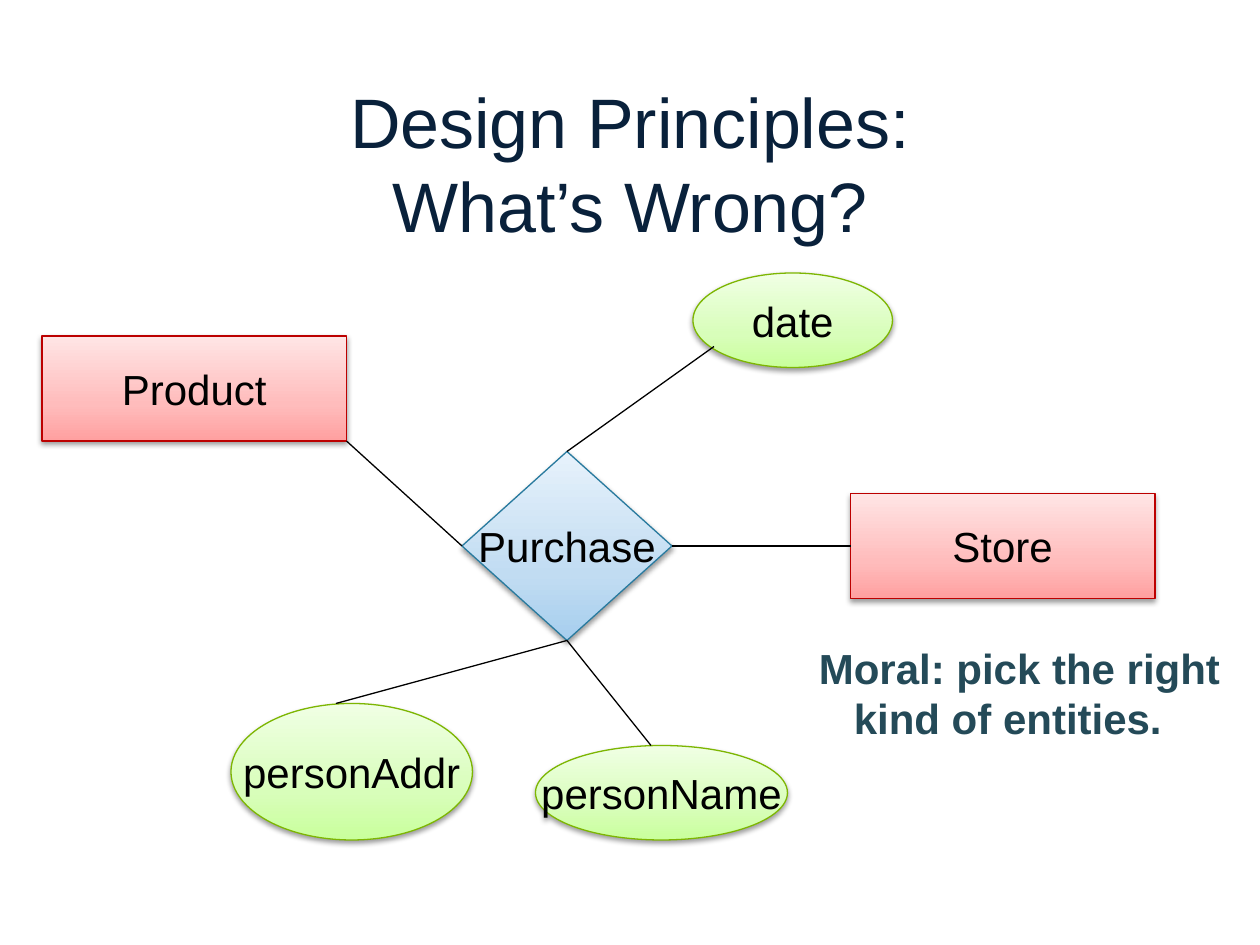
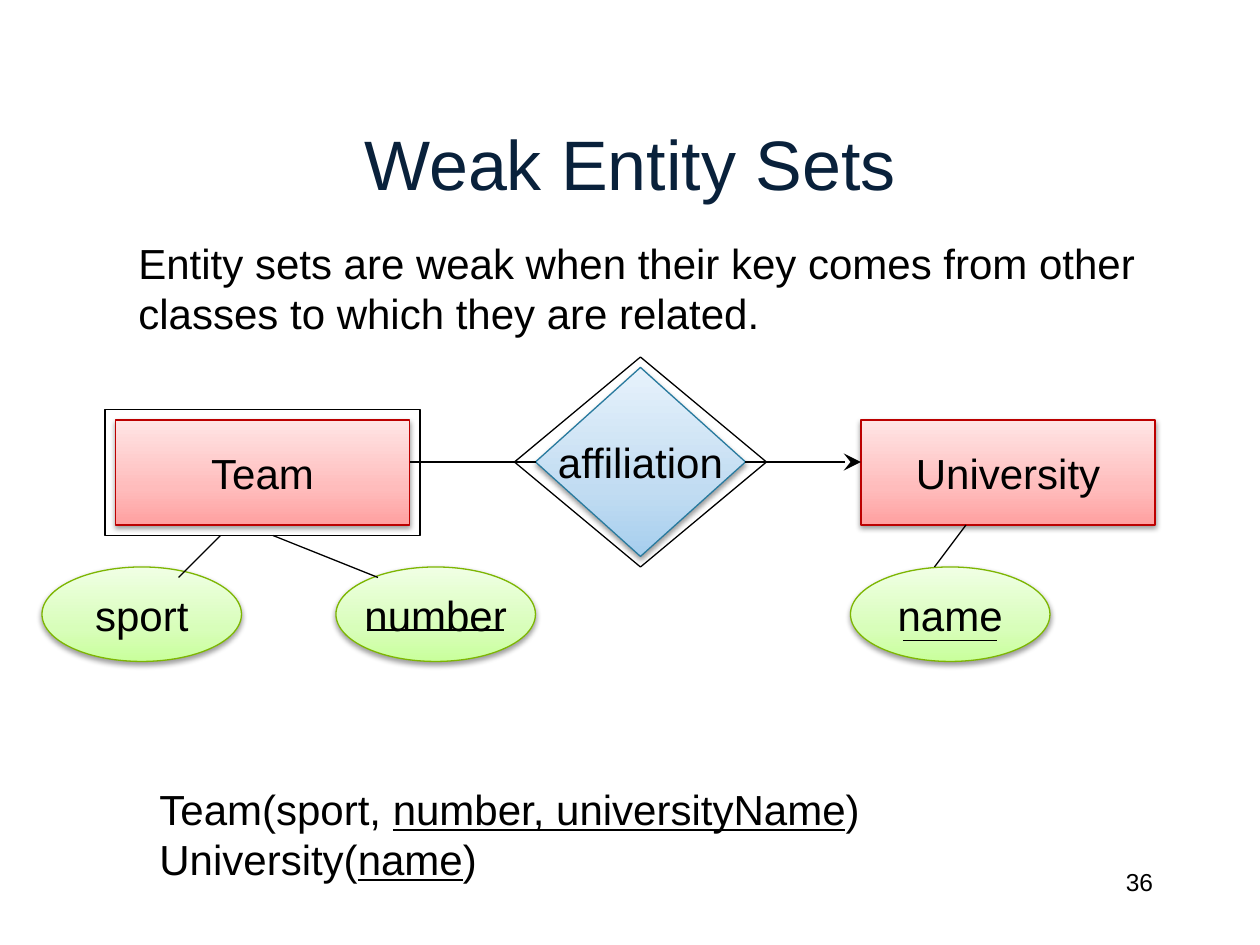
"""Build two slides on entity-relationship design: a flawed diagram and weak entity sets."""
from pptx import Presentation
from pptx.dml.color import RGBColor
from pptx.enum import shapes, text
from pptx.oxml import parse_xml
from pptx.oxml.ns import nsdecls, qn
from pptx.util import Pt

COLORS = {"title": "09213B", "text": "000000", "moral": "244A58"}
FONT = "Arial"
LEFT, CENTER, RIGHT = text.PP_ALIGN.LEFT, text.PP_ALIGN.CENTER, text.PP_ALIGN.RIGHT
TOP, MIDDLE = text.MSO_ANCHOR.TOP, text.MSO_ANCHOR.MIDDLE
KINDS = {
    "entity": (shapes.MSO_SHAPE.RECTANGLE, "BC0000", ("FFA0A0", "FFBCBC", "FFE5E5")),
    "relation": (shapes.MSO_SHAPE.DIAMOND, "287A9E", ("A6CEEE", "C1DCF2", "E7F2FB")),
    "attribute": (shapes.MSO_SHAPE.OVAL, "7DB602", ("C9FF9C", "D8FEBA", "F0FFE4")),
}
STOPS = (0, 35, 100)
SHADOW = (
    f'<a:outerShdw {nsdecls("a")} blurRad="{Pt(3.1)}" dist="{Pt(1.6)}" dir="5400000" '
    'rotWithShape="0"><a:srgbClr val="000000"><a:alpha val="38000"/></a:srgbClr></a:outerShdw>'
)


def write(sp, lines, size=24, color="text", align=LEFT, anchor=TOP, wrap=True, bold=False):
    """Fill a shape with paragraphs; parts between underscores are underlined."""
    tf = sp.text_frame
    tf.word_wrap = wrap
    tf.vertical_anchor = anchor
    for i, line in enumerate(lines):
        p = tf.add_paragraph() if i else tf.paragraphs[0]
        p.alignment = align
        for j, part in enumerate(line.split("_")):
            r = p.add_run()
            r.text = part
            r.font.name = FONT
            r.font.size = Pt(size)
            r.font.bold = bold
            r.font.underline = j % 2 == 1
            r.font.color.rgb = RGBColor.from_string(COLORS[color])
    return tf


def add_shape(s, preset, box, line):
    """Add a preset shape with a thin outline and no inherited shadow."""
    sp = s.shapes.add_shape(preset, *map(Pt, box))
    sp.shadow.inherit = False
    sp.fill.background()
    sp.line.color.rgb = RGBColor.from_string(line)
    sp.line.width = Pt(0.75)
    return sp


DIAGRAMS = [
    {
        "title": ["Design Principles:", "What’s Wrong?"],
        "nodes": [
            ("relation", "Purchase", (264, 258, 120, 108)),
            ("entity", "Product", (24, 192, 174, 60)),
            ("entity", "Store", (486, 282, 174, 60)),
            ("attribute", "date", (396, 156, 114, 54)),
            ("attribute", "personName", (306, 426, 144, 54)),
            ("attribute", "personAddr", (132, 402, 138, 78)),
        ],
        "frames": [],
        "lines": [
            (384, 312, 486, 312),
            (324, 258, 408, 198),
            (324, 366, 372, 426),
            (198, 252, 264, 312),
            (324, 366, 192, 402),
        ],
        "arrows": [],
    },
    {
        "title": ["Weak Entity Sets"],
        "nodes": [
            ("entity", "University", (492, 240, 168, 60)),
            ("entity", "Team", (66, 240, 168, 60)),
            ("relation", "affiliation", (306, 210, 120, 108)),
            ("attribute", "number", (192, 324, 114, 54)),
            ("attribute", "sport", (24, 324, 114, 54)),
            ("attribute", "name", (486, 324, 114, 54)),
        ],
        "frames": [("entity", (60, 234, 180, 72)), ("relation", (294, 204, 144, 120))],
        "lines": [
            (306, 264, 234, 264),
            (210, 360, 288, 360),
            (516, 366, 570, 366),
            (126, 306, 102, 330),
            (156, 306, 216, 330),
            (552, 300, 534, 324),
        ],
        "arrows": [(426, 264, 492, 264)],
    },
]

prs = Presentation()
prs.slide_width, prs.slide_height = Pt(720), Pt(540)
slides = []

for diagram in DIAGRAMS:
    s = prs.slides.add_slide(prs.slide_layouts[6])
    slides.append(s)
    sp = s.shapes.add_textbox(Pt(54), Pt(48), Pt(612), Pt(90))
    write(sp, diagram["title"], 40, "title", CENTER, MIDDLE)

    for kind, label, box in diagram["nodes"]:
        preset, line, shades = KINDS[kind]
        sp = add_shape(s, preset, box, line)
        sp.fill.gradient()
        sp.fill.gradient_angle = 90
        stops = sp._element.spPr.find(".//" + qn("a:gsLst"))
        for stop in list(stops):
            stops.remove(stop)
        for pos, shade in zip(STOPS, shades):
            stops.append(parse_xml(
                f'<a:gs {nsdecls("a")} pos="{pos * 1000}"><a:srgbClr val="{shade}"/></a:gs>'))
        sp._element.spPr.find(qn("a:effectLst")).append(parse_xml(SHADOW))
        write(sp, [label], align=CENTER, anchor=MIDDLE, wrap=False)

    for kind, box in diagram["frames"]:
        add_shape(s, KINDS[kind][0], box, COLORS["text"])

    for ends in diagram["lines"] + diagram["arrows"]:
        cn = s.shapes.add_connector(shapes.MSO_CONNECTOR.STRAIGHT, *map(Pt, ends))
        cn.line.color.rgb = RGBColor.from_string(COLORS["text"])
        cn.line.width = Pt(0.75)
        if ends in diagram["arrows"]:
            cn.line._get_or_add_ln().append(
                parse_xml(f'<a:tailEnd {nsdecls("a")} type="stealth" w="lg" len="lg"/>'))
        cn._element.spPr.append(parse_xml(f'<a:effectLst {nsdecls("a")}/>'))

wrong, weak = slides

sp = wrong.shapes.add_textbox(Pt(460.8), Pt(363.6), Pt(250), Pt(65.5))
tf = write(sp, ["Moral: pick the right", "kind of entities."], color="moral", bold=True)
tf.paragraphs[1]._p.get_or_add_pPr().set("marL", str(Pt(20)))

sp = weak.shapes.add_textbox(Pt(72), Pt(132), Pt(594), Pt(65.5))
write(sp, ["Entity sets are weak when their key comes from other",
           "classes to which they are related."])
sp = weak.shapes.add_textbox(Pt(84), Pt(444), Pt(420), Pt(65.5))
write(sp, ["Team(sport, _number, universityName_)", "University(_name_)"])
sp = weak.shapes.add_textbox(Pt(516), Pt(492), Pt(150), Pt(36))
write(sp, ["36"], 14, align=RIGHT)

prs.save("out.pptx")
